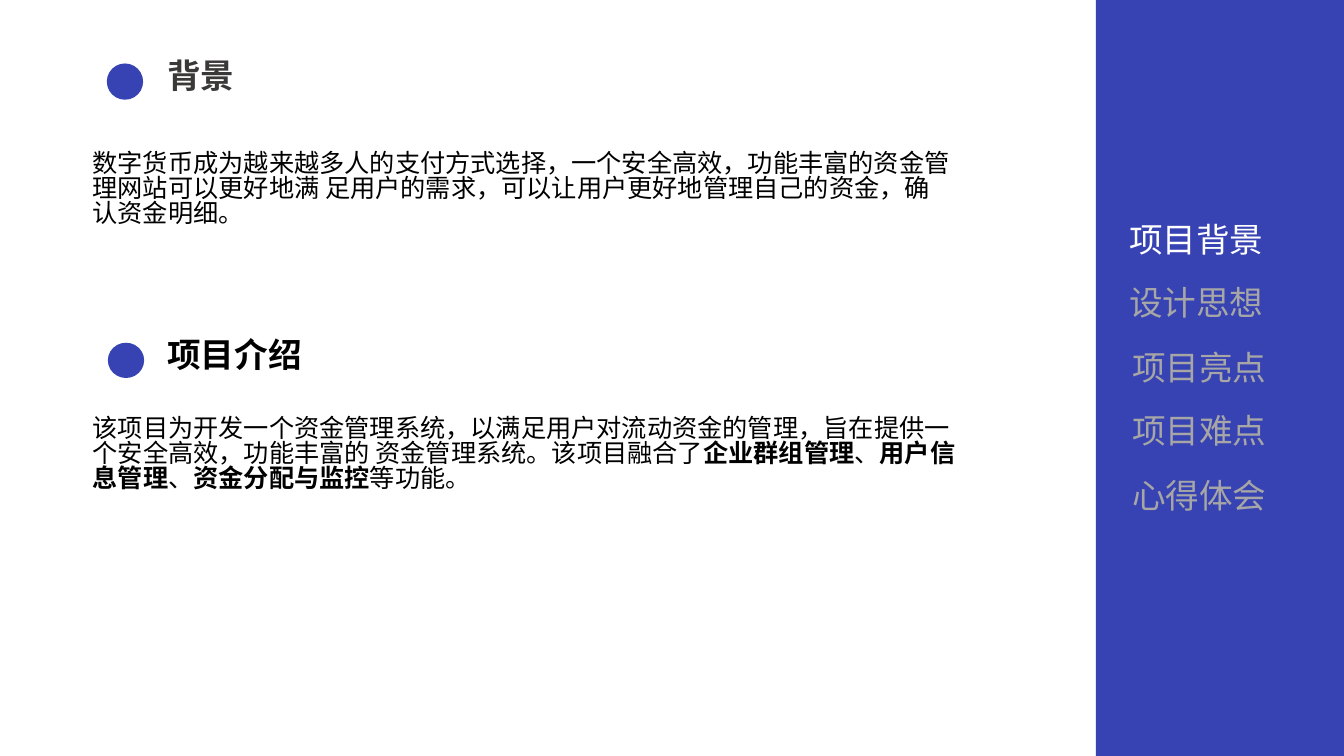
from dataclasses import dataclass

from lxml import etree
from pptx import Presentation
from pptx import util as u
from pptx.dml.color import RGBColor
from pptx.enum import shapes, text
from pptx.oxml import ns

EMU_PER_PX = 9144


@dataclass(frozen=True)
class Theme:
    """Colours, fonts and type sizes of the slide."""
    accent: str = "3843B3"
    heading: str = "3B3838"
    body: str = "000000"
    active: str = "FFFFFF"
    inactive: str = "A6A6A6"
    font: str = "Noto Sans CJK SC"
    latin_font: str = "Lato"
    heading_size: int = 24
    body_size: int = 18
    line_spacing: float = 0.83


THEME = Theme()


def px(*lengths):
    """Turn pixel lengths into EMU."""
    return [u.Emu(length * EMU_PER_PX) for length in lengths]


def add_filled(slide, kind, *box):
    """Add a borderless shape in the accent colour."""
    shape = slide.shapes.add_shape(kind, *px(*box))
    shape.shadow.inherit = False
    shape.fill.solid()
    shape.fill.fore_color.rgb = RGBColor.from_string(THEME.accent)
    shape.line.fill.background()


def add_run(paragraph, words, *, size, color, bold=False, font=THEME.font):
    """Add formatted text with matching Latin and East Asian fonts."""
    run = paragraph.add_run()
    run.text = words
    run.font.size = u.Pt(size)
    run.font.bold = bold
    run.font.name = font
    run.font.color.rgb = RGBColor.from_string(color)
    east_asian = etree.SubElement(run.font._element, ns.qn("a:ea"))
    east_asian.set("typeface", THEME.font)


def add_text(slide, box, *runs, wrap=True, **style):
    """Add a text box of (words, overrides) runs sharing one style."""
    frame = slide.shapes.add_textbox(*px(*box)).text_frame
    frame.word_wrap = wrap
    frame.auto_size = text.MSO_AUTO_SIZE.SHAPE_TO_FIT_TEXT
    paragraph = frame.paragraphs[0]
    paragraph.line_spacing = THEME.line_spacing
    for words, overrides in runs:
        add_run(paragraph, words, **{**style, **overrides})


def add_heading(slide, title, top, width, dot_box, color, wrap=True):
    """Add a section heading with its round marker."""
    add_filled(slide, shapes.MSO_SHAPE.OVAL, *dot_box)
    add_text(slide, (156, top, width, 50), (title, {}), wrap=wrap,
             size=THEME.heading_size, color=color, bold=True)


def add_body(slide, box, *runs):
    """Add a body paragraph."""
    add_text(slide, box, *runs, size=THEME.body_size, color=THEME.body)


def add_sidebar(slide, topics, current):
    """Add the side panel with the current topic highlighted."""
    add_filled(slide, shapes.MSO_SHAPE.RECTANGLE, 1087, 0, 246, 750)
    for index, topic in enumerate(topics):
        left = 1110 if index < 2 else 1113
        top = 219 + index * 127 // 2
        color = THEME.active if topic == current else THEME.inactive
        add_text(slide, (left, top, 195, 50), (topic, {}),
                 size=THEME.heading_size, color=color)


def main():
    """Build and save the project background slide."""
    deck = Presentation()
    deck.slide_width, deck.slide_height = px(1333, 750)
    slide = deck.slides.add_slide(deck.slide_layouts[6])

    topics = ["项目背景", "设计思想", "项目亮点", "项目难点", "心得体会"]
    add_sidebar(slide, topics, current="项目背景")

    add_heading(slide, "背景", 56, 291, (106, 63, 36, 36), THEME.heading)
    add_body(slide, (82, 146, 870, 192), (
        "数字货币成为越来越多人的支付方式选择，一个安全高效，功能丰富的资金管理网站"
        "可以更好地满 足用户的需求，可以让用户更好地管理自己的资金，确认资金明细。", {}))

    add_heading(slide, "项目介绍", 333, 155, (107, 340, 36, 35), THEME.body,
                wrap=False)
    plain = {"font": THEME.latin_font}
    strong = {**plain, "bold": True}
    add_body(
        slide, (82, 409, 878, 222),
        ("该项目为开发一个资金管理系统，以满足用户对流动资金的管理，旨在提供一个"
         "安全高效，功能丰富的 资金管理系统。", {}),
        ("该项目融合了", plain),
        ("企业群组管理", strong),
        ("、", plain),
        ("用户信息管理", strong),
        ("、", plain),
        ("资金分配与监控", strong),
        ("等功能。", plain))

    deck.save("out.pptx")


if __name__ == "__main__":
    main()
